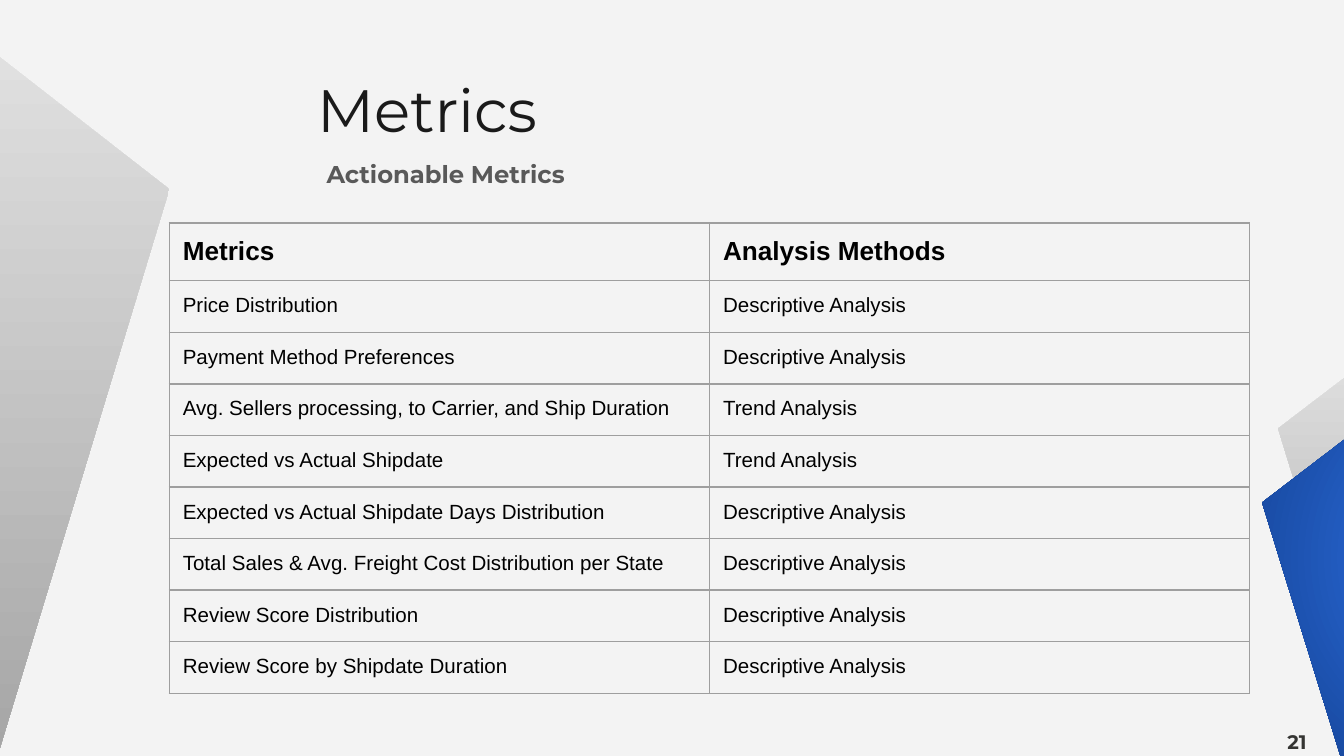
"""Build the slide of actionable metrics and their analysis methods."""
import pptx
import pptx.dml.color
import pptx.enum.shapes
import pptx.enum.text
import pptx.oxml
import pptx.oxml.ns
import pptx.util

Inches = pptx.util.Inches
Align = pptx.enum.text.PP_ALIGN

COLORS = {
    "back": "F3F3F3",
    "light": "F2F2F2",
    "gray": "A6A6A6",
    "blue": "3176EE",
    "navy": "113D8A",
    "title": "1A1A1A",
    "label": "595959",
    "page": "343432",
    "cell": "000000",
    "rule": "9E9E9E",
}
ROWS = [
    ("Metrics", "Analysis Methods"),
    ("Price Distribution", "Descriptive Analysis"),
    ("Payment Method Preferences", "Descriptive Analysis"),
    ("Avg. Sellers processing, to Carrier, and Ship Duration", "Trend Analysis"),
    ("Expected vs Actual Shipdate", "Trend Analysis"),
    ("Expected vs Actual Shipdate Days Distribution", "Descriptive Analysis"),
    ("Total Sales & Avg. Freight Cost Distribution per State", "Descriptive Analysis"),
    ("Review Score Distribution", "Descriptive Analysis"),
    ("Review Score by Shipdate Duration", "Descriptive Analysis"),
]


def get_rgb(name):
    """Return the named colour."""
    return pptx.dml.color.RGBColor.from_string(COLORS[name])


def parse_xml(tag, attrs, inner=""):
    """Return a drawing element made from its tag, attributes and content."""
    space = pptx.oxml.ns.nsdecls("a")
    return pptx.oxml.parse_xml(f"<a:{tag} {space} {attrs}>{inner}</a:{tag}>")


def set_font(para, size, color, bold=False, face="Montserrat"):
    """Format all the text of a paragraph."""
    font = para.font
    font.name, font.size, font.bold = face, pptx.util.Pt(size), bold
    font.color.rgb = get_rgb(color)


def fill_text(shape, box, text, size, color, bold=False, align=Align.LEFT, space=1.0):
    """Place a text shape and fill it with one line."""
    shape.left, shape.top, shape.width, shape.height = map(Inches, box)
    frame = shape.text_frame
    frame.margin_left = frame.margin_right = frame.margin_top = frame.margin_bottom = 0
    frame.word_wrap = True
    frame.auto_size = pptx.enum.text.MSO_AUTO_SIZE.NONE
    frame.vertical_anchor = pptx.enum.text.MSO_ANCHOR.TOP
    frame.text = text
    para = frame.paragraphs[0]
    para.alignment, para.line_spacing = align, space
    para.space_before = pptx.util.Pt(0)
    set_font(para, size, color, bold)


def add_gem(slide, box, start, end, round_fill=False):
    """Add a pentagon with a linear or circular gradient."""
    kind = pptx.enum.shapes.MSO_SHAPE.REGULAR_PENTAGON
    gem = slide.shapes.add_shape(kind, *map(Inches, box))
    gem.shadow.inherit = False
    gem.line.fill.background()
    gem.fill.gradient()
    gem.fill.gradient_angle = 270
    for stop, color, place in zip(gem.fill.gradient_stops, (start, end), (0, 1)):
        stop.color.rgb = get_rgb(color)
        stop.position = place
    if round_fill:
        line = gem.element.spPr.find(".//" + pptx.oxml.ns.qn("a:lin"))
        rect = '<a:fillToRect l="50000" t="50000" r="50000" b="50000"/>'
        line.getparent().replace(line, parse_xml("path", 'path="circle"', rect))


def style_cell(cell, text, head):
    """Fill one table cell and draw its four borders."""
    cell.text = text
    cell.margin_left = cell.margin_right = Inches(0.1)
    cell.margin_top = cell.margin_bottom = Inches(0.1)
    set_font(cell.text_frame.paragraphs[0], 14 if head else 11, "cell", head, "Arial")
    paint = f'<a:solidFill><a:srgbClr val="{COLORS["rule"]}"/></a:solidFill>'
    props = cell._tc.get_or_add_tcPr()
    for side in "LRTB":
        props.append(parse_xml(f"ln{side}", f'w="{pptx.util.Pt(0.75)}"', paint))
    cell.fill.background()


def add_grid(slide, rows):
    """Add the table of metrics."""
    wide, tall, high = 8.04, 3.5, 0.43
    low = (tall - high) / (len(rows) - 1)
    box = map(Inches, (1.26, 1.66, wide, tall))
    table = slide.shapes.add_table(len(rows), 2, *box).table
    table.first_row = table.horz_banding = False
    for num, row in enumerate(rows):
        table.rows[num].height = Inches(low if num else high)
        for col, text in enumerate(row):
            style_cell(table.cell(num, col), text, num == 0)


def main():
    """Build and save the slide."""
    deck = pptx.Presentation()
    deck.slide_width = Inches(10)
    deck.slide_height = deck.slide_width * 9 // 16
    slide = deck.slides.add_slide(deck.slide_layouts[0])
    slide.background.fill.solid()
    slide.background.fill.fore_color.rgb = get_rgb("back")
    add_gem(slide, (-5.44, -1.2, 6.7, 6.83), "light", "gray")
    add_gem(slide, (9.51, 1.86, 3.48, 3.48), "light", "gray")
    add_gem(slide, (9.39, 2.41, 3.48, 3.48), "blue", "navy", True)
    fill_text(slide.shapes.title, (2.36, 0.54, 6.45, 0.54), "Metrics", 32, "title")
    fill_text(slide.placeholders[1], (2.43, 1.1, 6.45, 0.22), "Actionable Metrics",
              13, "label", True, Align.JUSTIFY, 1.4)
    add_grid(slide, ROWS)
    page = slide.shapes.add_textbox(0, 0, 0, 0)
    fill_text(page, (9.55, 5.38, 0.2, 0.18), "21", 10.5, "page", True, Align.CENTER, 1.28)
    deck.save("out.pptx")


if __name__ == "__main__":
    main()
